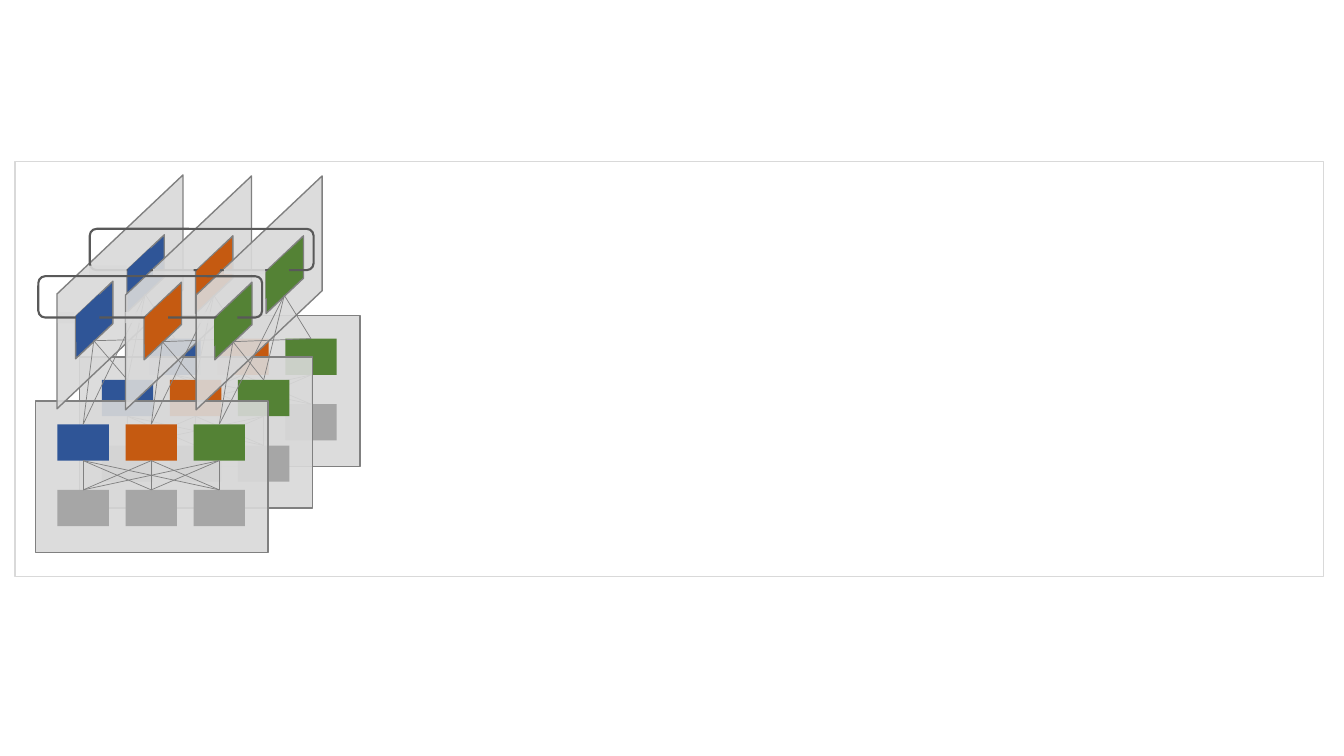
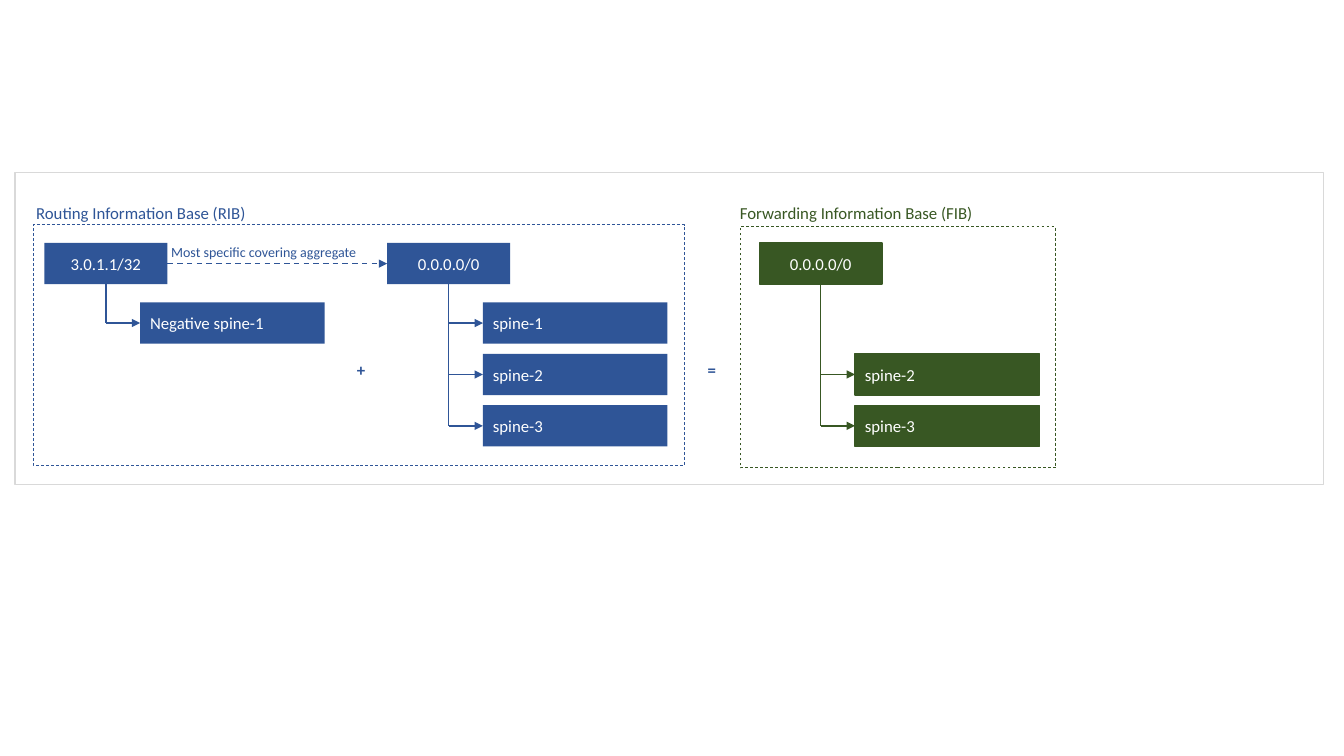
from itertools import product

from lxml.etree import SubElement
from pptx import Presentation
from pptx.dml.color import RGBColor
from pptx.enum.dml import MSO_LINE
from pptx.enum.shapes import MSO_CONNECTOR, MSO_SHAPE
from pptx.enum.text import MSO_ANCHOR, PP_ALIGN
from pptx.oxml.ns import qn
from pptx.util import Inches, Pt

BLUE, ORANGE, GREEN = "2F5597", "C55A11", "548235"
DARK_GREEN = "385723"
PLANE, EDGE, LEAF = "D9D9D9", "808080", "A6A6A6"
OUTLINE, WHITE = "595959", "FFFFFF"
FONT = "Calibri"
PLANE_COLORS = (BLUE, ORANGE, GREEN)
TOP, LEFT, BOTTOM, RIGHT = range(4)


def color(value):
    return RGBColor.from_string(value)


def add_box(shapes, at, fill=None, line=None, width=1, kind=MSO_SHAPE.RECTANGLE,
            alpha=None, dash=None):
    box = shapes.add_shape(kind, *map(Inches, at))
    box.shadow.inherit = False
    if fill:
        box.fill.solid()
        box.fill.fore_color.rgb = color(fill)
    else:
        box.fill.background()
    if alpha:
        tint = box.element.spPr.find(".//" + qn("a:srgbClr"))
        SubElement(tint, qn("a:alpha"), val=str(alpha * 1000))
    if line:
        box.line.color.rgb = color(line)
        box.line.width = Pt(width)
    else:
        box.line.fill.background()
    if dash:
        box.line.dash_style = dash
    return box


def add_slant(shapes, at, fill, line=None, skew=0.945, alpha=None):
    box = add_box(shapes, at, fill, line, kind=MSO_SHAPE.PARALLELOGRAM, alpha=alpha)
    box.adjustments[0] = skew
    box.rotation = 90
    box.element.spPr.find(qn("a:xfrm")).set("flipV", "1")
    return box


def add_line(shapes, start, end, line, width=1, source=None, target=None,
             arrow=False, dash=None):
    link = shapes.add_connector(MSO_CONNECTOR.STRAIGHT, *map(Inches, start + end))
    link.line.color.rgb = color(line)
    link.line.width = Pt(width)
    if dash:
        link.line.dash_style = dash
    if arrow:
        SubElement(link.line._get_or_add_ln(), qn("a:tailEnd"), type="triangle")
    SubElement(link.element.spPr, qn("a:effectLst"))
    if source:
        link.begin_connect(*source)
    if target:
        link.end_connect(*target)
    return link


def write(box, text, ink, size=12, align=PP_ALIGN.LEFT, bold=False):
    frame = box.text_frame
    frame.word_wrap = True
    frame.vertical_anchor = MSO_ANCHOR.MIDDLE
    para = frame.paragraphs[0]
    para.text = text
    para.alignment = align
    para.font.name = FONT
    para.font.size = Pt(size)
    para.font.bold = bold
    para.font.color.rgb = color(ink)


def add_label(page, at, text, ink, **style):
    write(page.shapes.add_textbox(*map(Inches, at)), text, ink, **style)


def add_slide(deck, frame_top, frame_height):
    page = deck.slides.add_slide(deck.slide_layouts[6])
    return page, lambda: add_box(
        page.shapes, (0.15, frame_top, 12.98, frame_height), line=PLANE)


def add_pod(page, left, top):
    shapes = page.shapes.add_group_shape().shapes
    add_box(shapes, (left, top, 2.31, 1.5), PLANE, EDGE, alpha=90)

    def add_row(row_top, fills):
        return [add_box(shapes, (left + 0.22 + 0.675 * column, row_top, 0.51, 0.36), fill)
                for column, fill in enumerate(fills)]

    uppers = add_row(top + 0.23, PLANE_COLORS)
    lowers = add_row(top + 0.88, [LEAF] * 3)
    for upper, lower in product(uppers, lowers):
        add_line(shapes, (left, top), (left, top), EDGE, 0.5,
                 (upper, BOTTOM), (lower, TOP))
    return uppers


def add_spine_plane(page, left, top, fill, pod_nodes):
    shapes = page.shapes.add_group_shape().shapes
    add_slant(shapes, (left, top, 2.32, 1.25), PLANE, EDGE, alpha=90)
    spines = [(left + 0.52, top + 0.72), (left + 1.03, top + 0.26)]
    for spine_left, spine_top in spines:
        add_slant(shapes, (spine_left, spine_top, 0.77, 0.37), fill, EDGE)
    for (spine_left, spine_top), node in product(spines, pod_nodes):
        foot = (spine_left + 0.38, spine_top + 0.39)
        add_line(page.shapes, foot, foot, EDGE, 0.5, source=(node, TOP))


def add_ring(page, left, top):
    add_box(page.shapes, (left, top, 2.22, 0.41), line=OUTLINE, width=1.5,
            kind=MSO_SHAPE.ROUNDED_RECTANGLE)


def add_patches(page, places):
    for at in places:
        add_slant(page.shapes, at, PLANE, skew=0, alpha=90)


def add_spine_faces(page, places):
    for fill, at in zip(PLANE_COLORS, places):
        add_slant(page.shapes, at, fill)


def build_fabric(deck):
    page, add_frame = add_slide(deck, 1.6, 4.12)
    pods = [add_pod(page, left, top)
            for left, top in ((1.26, 3.13), (0.79, 3.54), (0.35, 3.98))]
    corners = ((0.03, 2.27), (0.71, 2.28), (1.41, 2.28))
    for (left, top), fill, nodes in zip(corners, PLANE_COLORS, zip(*pods)):
        add_spine_plane(page, left, top, fill, nodes)
    add_patches(page, [(left, 3.07, 0.11, 0.16) for left in (1.27, 1.98, 0.6)])
    add_ring(page, 0.89, 2.27)
    add_patches(page, ((1.69, 2.5, 0.06, 0.4), (2.4, 2.49, 0.05, 0.41),
                       (1.02, 2.5, 0.1, 0.37)))
    add_spine_faces(page, ((1.16, 2.56, 0.44, 0.23), (1.85, 2.57, 0.43, 0.23),
                           (2.51, 2.61, 0.48, 0.23)))
    add_ring(page, 0.38, 2.74)
    add_spine_faces(page, ((0.63, 3.04, 0.48, 0.23), (1.31, 3.06, 0.48, 0.23),
                           (2, 3.08, 0.48, 0.23)))
    add_frame()


def add_route(page, left, prefix, hops, fill, line=None):
    root = add_box(page.shapes, (left, 2.41, 1.22, 0.41), fill, line)
    write(root, prefix, WHITE, align=PP_ALIGN.CENTER)
    trunk = left + 0.61
    for row, hop in hops:
        top = 3 + 0.51 * row
        middle = top + 0.205
        box = add_box(page.shapes, (left + 0.95, top, 1.83, 0.41), fill, line)
        write(box, hop, WHITE)
        add_line(page.shapes, (trunk, middle), (left + 0.95, middle), fill,
                 target=(box, LEFT), arrow=True)
    add_line(page.shapes, (trunk, 2.82), (trunk, middle), fill, source=(root, BOTTOM))
    return root


def build_routes(deck):
    page, add_frame = add_slide(deck, 1.71, 3.1)
    spines = list(enumerate(("spine-1", "spine-2", "spine-3")))
    aggregate = add_route(page, 3.84, "0.0.0.0/0", spines, BLUE)
    specific = add_route(page, 0.44, "3.0.1.1/32", [(0, "Negative spine-1")], BLUE)
    add_route(page, 7.53, "0.0.0.0/0", spines[1:], DARK_GREEN, DARK_GREEN)
    add_line(page.shapes, (1.66, 2.62), (3.84, 2.62), BLUE, source=(specific, RIGHT),
             target=(aggregate, LEFT), arrow=True, dash=MSO_LINE.DASH)
    for left, sign in ((2.97, "+"), (6.45, "=")):
        add_label(page, (left, 3.46, 1.22, 0.41), sign, BLUE,
                  align=PP_ALIGN.CENTER, bold=True)
    add_label(page, (0.26, 1.91, 6.19, 0.41), "Routing Information Base (RIB)", BLUE)
    add_label(page, (7.24, 1.91, 3.33, 0.41), "Forwarding Information Base (FIB)",
              DARK_GREEN)
    add_label(page, (1.6, 2.29, 2.51, 0.41), "Most specific covering aggregate",
              BLUE, size=10)
    for at, line in (((0.33, 2.23, 6.46, 2.39), BLUE),
                     ((7.34, 2.25, 3.13, 2.39), DARK_GREEN)):
        add_box(page.shapes, at, line=line, width=0.5, dash=MSO_LINE.DASH)
    add_frame()


def main():
    deck = Presentation()
    deck.slide_width, deck.slide_height = Inches(13.33), Inches(7.5)
    build_fabric(deck)
    build_routes(deck)
    deck.save("out.pptx")


if __name__ == "__main__":
    main()
